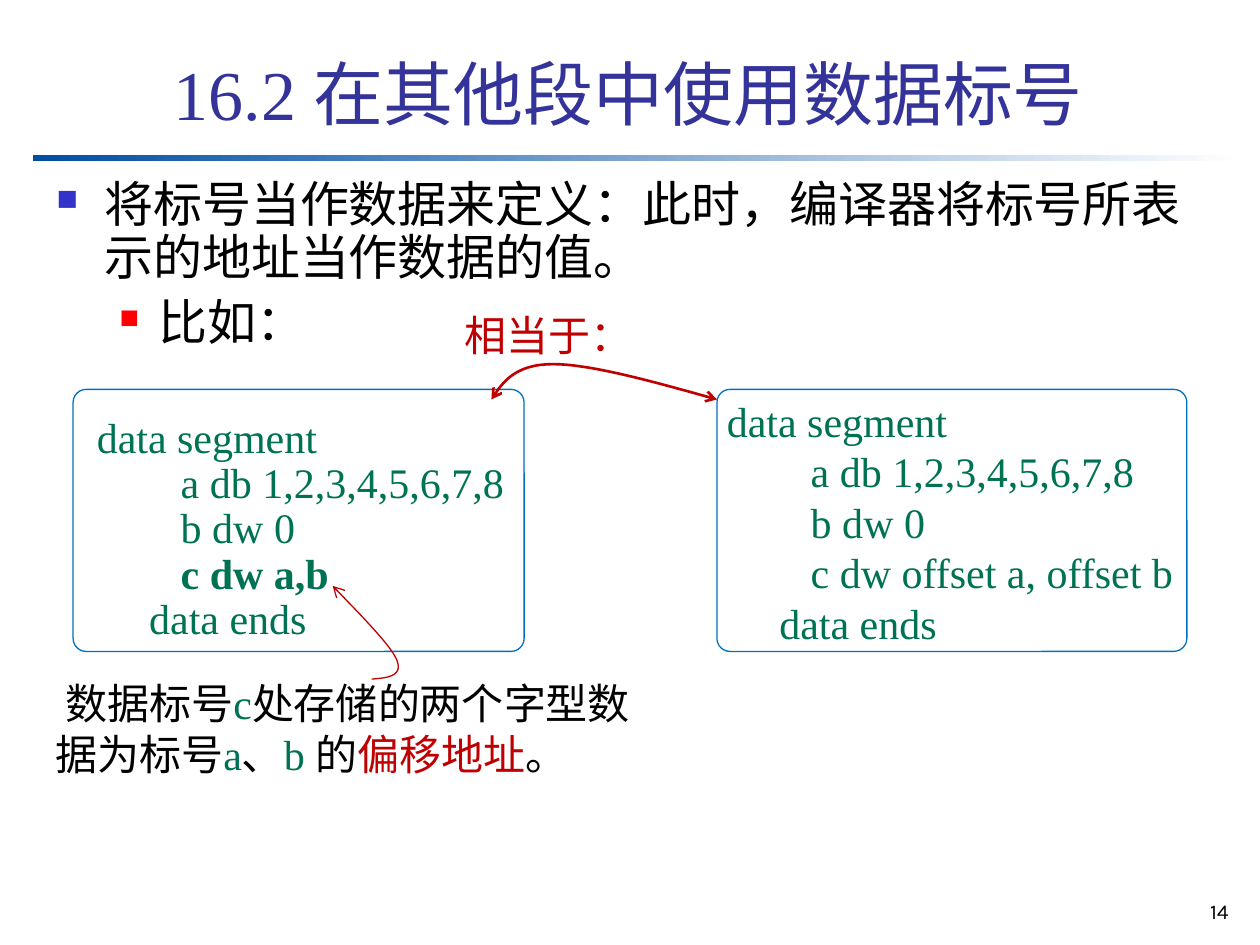
from lxml.etree import SubElement
from pptx import Presentation
from pptx.dml.color import RGBColor
from pptx.enum.shapes import MSO_SHAPE
from pptx.enum.text import MSO_ANCHOR, MSO_AUTO_SIZE, PP_ALIGN
from pptx.oxml.ns import qn
from pptx.util import Pt

PX = 9144  # 100 px to the inch
SERIF = "Times New Roman"
COLORS = {"title": "333399", "text": "000000", "code": "007254", "accent": "C00000",
          "frame": "0070C0", "rule": "004EA2", "white": "FFFFFF",
          "bullet": "3333CC", "sub_bullet": "FF0000"}

# Content
TITLE = "16.2 在其他段中使用数据标号"
PAGE_NUMBER = "14"
# text, left margin, hanging indent, bullet colour, bullet size %
POINTS = [
    ("将标号当作数据来定义：此时，编译器将标号所表示的地址当作数据的值。", 38, 38, "bullet", 60),
    ("比如：", 81, 31, "sub_bullet", 55),
]
LABEL_CODE = ["data segment", "        a db 1,2,3,4,5,6,7,8", "        b dw 0",
              "        c dw a,b", "     data ends"]
BOLD_LINE = 3
OFFSET_CODE = LABEL_CODE[:3] + ["        c dw offset a, offset b"] + LABEL_CODE[4:]
EQUIVALENT = "相当于："
EXPLANATION = [("数据标号", "text"), ("c", "code"), ("处存储的两个字型数据为标号", "text"),
               ("a", "code"), ("、", "text"), ("b ", "code"), ("的", "text"),
               ("偏移地址", "accent"), ("。", "text")]
FRAMES = [(58, 309, 358, 208), (569, 309, 373, 208)]
# Bezier points in px, line width, arrow ends
CURVES = [
    ([(295, 539), (307, 538), (320, 537), (315, 524), (310, 512), (287, 489), (264, 465)],
     0.75, ["tailEnd"]),
    ([(390, 317), (399, 303), (409, 289), (439, 289), (469, 289), (519, 303), (569, 317)],
     1.5, ["headEnd", "tailEnd"]),
]


def rgb(key):
    return RGBColor.from_string(COLORS[key])


def style(run, size, color, font=SERIF, bold=False):
    run.font.size, run.font.name, run.font.bold = Pt(size), font, bold
    run.font.color.rgb = rgb(color)


def place(shape, box):
    shape.left, shape.top, shape.width, shape.height = (v * PX for v in box)


def add_text(box, lines, size, color, font=SERIF, spacing=None, wrap=True):
    frame = slide.shapes.add_textbox(*(v * PX for v in box)).text_frame
    frame.word_wrap = wrap
    frame.text = "\n".join(lines)
    for paragraph in frame.paragraphs:
        if spacing:
            paragraph.line_spacing = spacing
        for run in paragraph.runs:
            style(run, size, color, font)
    return frame


def add_bullet(paragraph, margin, hanging, color, percent):
    props = paragraph._p.get_or_add_pPr()
    props.set("marL", str(margin * PX))
    props.set("indent", str(-hanging * PX))
    bullet_color = SubElement(props, qn("a:buClr"))
    SubElement(bullet_color, qn("a:srgbClr"), val=COLORS[color])
    SubElement(props, qn("a:buSzPct"), val=str(percent * 1000))
    SubElement(props, qn("a:buChar"), char="■")


def bezier(points, steps=24):
    """Sample a chain of cubic segments that share their end points."""
    sampled = [points[0]]
    for first in range(0, len(points) - 1, 3):
        a, b, c, d = points[first:first + 4]
        for step in range(1, steps + 1):
            t = step / steps
            u = 1 - t
            sampled.append(tuple(u**3 * a[i] + 3 * u * u * t * b[i] + 3 * u * t * t * c[i]
                                 + t**3 * d[i] for i in (0, 1)))
    return [(round(x * PX), round(y * PX)) for x, y in sampled]


def outline(shape, color, width):
    shape.shadow.inherit = False
    shape.fill.background()
    shape.line.color.rgb = rgb(color)
    shape.line.width = Pt(width)


presentation = Presentation()
presentation.slide_width, presentation.slide_height = 1000 * PX, 750 * PX
slide = presentation.slides.add_slide(presentation.slide_layouts[5])

# Title and gradient rule
title = slide.shapes.title
place(title, (128, 18, 852, 94))
title.text_frame.text = TITLE
title.text_frame.auto_size = MSO_AUTO_SIZE.NONE
title.text_frame.vertical_anchor = MSO_ANCHOR.BOTTOM
title.text_frame.paragraphs[0].alignment = PP_ALIGN.LEFT
style(title.text_frame.paragraphs[0].runs[0], 40, "title")

rule = slide.shapes.add_shape(MSO_SHAPE.RECTANGLE, *(v * PX for v in (26, 123, 960, 5)))
rule.shadow.inherit = False
rule.line.fill.background()
rule.fill.gradient()
rule.fill.gradient_angle = 0
for stop, color, position in zip(rule.fill.gradient_stops, ("rule", "white"), (0, 1)):
    stop.color.rgb = rgb(color)
    stop.position = position

# Bulleted points
points = add_text((35, 138, 946, 567), [p[0] for p in POINTS], 28, "text", spacing=0.9)
for level, (paragraph, point) in enumerate(zip(points.paragraphs, POINTS)):
    paragraph.level = level
    if level:
        paragraph.space_before = Pt(7)
    add_bullet(paragraph, *point[1:])

# Code listings and their frames
add_text((567, 309, 399, 210), OFFSET_CODE, 24, "code")
label_code = add_text((67, 326, 500, 190), LABEL_CODE, 24, "code", spacing=0.9)
label_code.paragraphs[BOLD_LINE].runs[0].font.bold = True
for box in FRAMES:
    frame = slide.shapes.add_shape(MSO_SHAPE.ROUNDED_RECTANGLE, *(v * PX for v in box))
    frame.adjustments[0] = 0.05
    outline(frame, "frame", 0.75)

# Explanation and caption
explanation = add_text((34, 533, 491, 130), [""], 24, "text").paragraphs[0]
explanation._p.get_or_add_pPr().set("indent", str(8 * PX))
for words, color in EXPLANATION:
    run = explanation.add_run()
    run.text = words
    style(run, 24, color)
add_text((359, 241, 153, 50), [EQUIVALENT], 24, "accent", wrap=False)

# Curved arrows
for control_points, width, ends in CURVES:
    start, *rest = bezier(control_points)
    builder = slide.shapes.build_freeform(*start)
    builder.add_line_segments(rest, close=False)
    curve = builder.convert_to_shape()
    outline(curve, "accent", width)
    for end in ends:
        SubElement(curve.line._get_or_add_ln(), qn(f"a:{end}"), type="arrow")

# Page number
page = add_text((918, 708, 67, 33), [PAGE_NUMBER], 12, "text", font="Karla")
page.paragraphs[0].alignment = PP_ALIGN.RIGHT

presentation.save("out.pptx")
